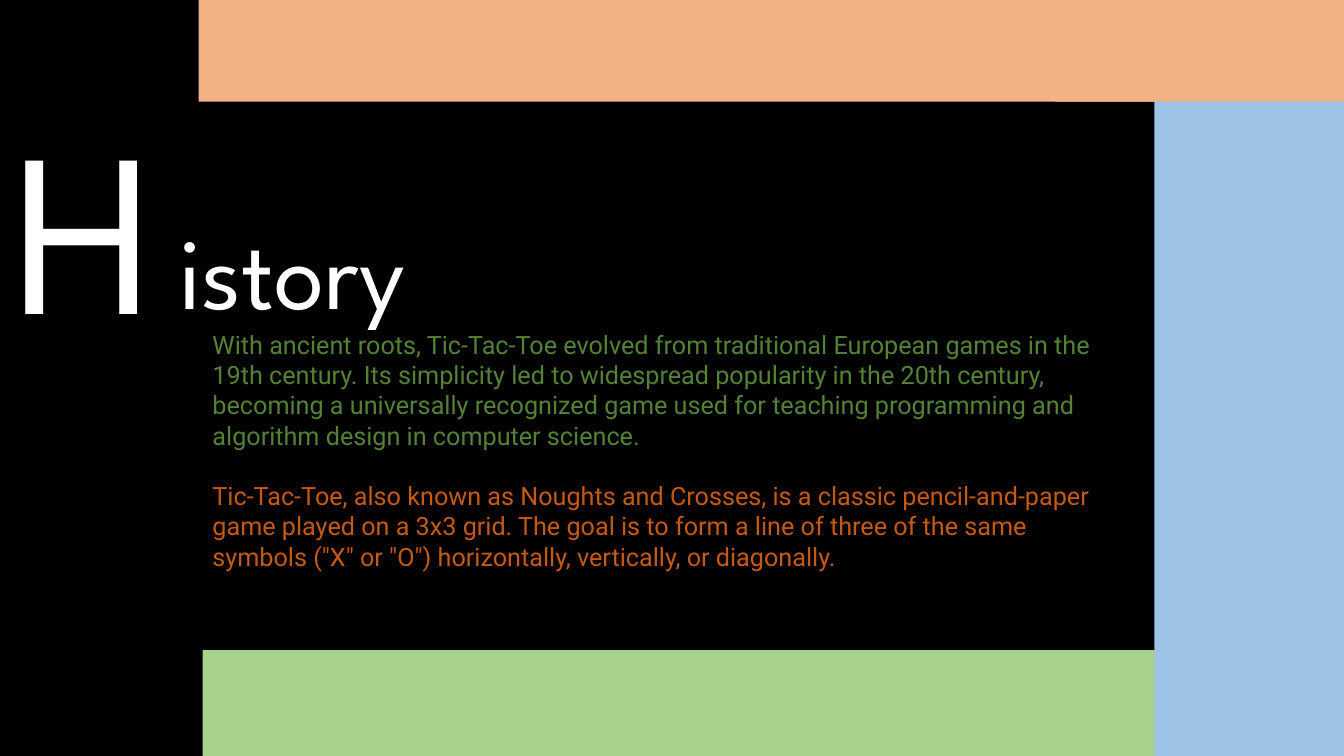
from dataclasses import dataclass

from pptx import Presentation
from pptx.dml.color import RGBColor
from pptx.enum import shapes, text
from pptx.util import Pt

SLIDE_W, SLIDE_H = 960, 540
BAND = 136.8
BAND_LEN = 2468.2
ORANGE, GREEN, BLUE = "F4B183", "A9D18E", "9DC3E6"


@dataclass
class Bar:
    left: float
    top: float
    width: float
    height: float
    color: str
    rotation: float = 0


@dataclass
class Para:
    text: str
    size: float
    font: str
    color: str
    before: float = 0


BARS = [
    Bar(1307.5, -1229.8, BAND, BAND_LEN, ORANGE, 90),
    Bar(1310.4, -701.3, BAND, BAND_LEN, GREEN, 90),
    Bar(824.6, -455, 136.1, 1451.5, BLUE),
    Bar(753.8, -64.1, 307.4, BAND, ORANGE),
]

INITIAL = Para("H", 166, "League Spartan", "FFFFFF")
TITLE = Para("istory", 72, "League Spartan", "FFFFFF")
BODY = [
    Para("With ancient roots, Tic-Tac-Toe evolved from traditional European games "
         "in the 19th century. Its simplicity led to widespread popularity in the "
         "20th century, becoming a universally recognized game used for teaching "
         "programming and algorithm design in computer science.",
         18, "Roboto", "548235"),
    Para("Tic-Tac-Toe, also known as Noughts and Crosses, is a classic "
         "pencil-and-paper game played on a 3x3 grid. The goal is to form a line of "
         "three of the same symbols (\"X\" or \"O\") horizontally, vertically, or "
         "diagonally.",
         18, "Roboto", "C55A11", before=21.6),
]


def set_fill(fill, color: str) -> None:
    fill.solid()
    fill.fore_color.rgb = RGBColor.from_string(color)


def add_bar(s, bar: Bar) -> None:
    sp = s.shapes.add_shape(
        shapes.MSO_SHAPE.RECTANGLE, Pt(bar.left), Pt(bar.top),
        Pt(bar.width), Pt(bar.height))
    sp.rotation = bar.rotation
    sp.shadow.inherit = False
    set_fill(sp.fill, bar.color)
    sp.line.fill.background()


def write(sp, paras: list[Para]) -> None:
    tf = sp.text_frame
    tf.word_wrap = True
    tf.auto_size = text.MSO_AUTO_SIZE.NONE
    tf.vertical_anchor = text.MSO_ANCHOR.TOP
    tf.text = "\n".join(para.text for para in paras)
    for p, para in zip(tf.paragraphs, paras):
        p.alignment = text.PP_ALIGN.LEFT
        p.space_before = Pt(para.before)
        r = p.runs[0]
        r.font.size = Pt(para.size)
        r.font.name = para.font
        set_fill(r.font.fill, para.color)


def add_text(s, left: float, top: float, width: float, height: float,
             paras: list[Para]) -> None:
    write(s.shapes.add_textbox(Pt(left), Pt(top), Pt(width), Pt(height)), paras)


def main() -> None:
    prs = Presentation()
    prs.slide_width, prs.slide_height = Pt(SLIDE_W), Pt(SLIDE_H)
    s = prs.slides.add_slide(prs.slide_layouts.get_by_name("Title Only"))
    set_fill(s.background.fill, "000000")

    for bar in BARS:
        add_bar(s, bar)

    title = s.shapes.title
    title.left, title.top = Pt(120.8), Pt(145.4)
    title.width, title.height = Pt(217.4), Pt(94.3)
    write(title, [TITLE])
    add_text(s, 2.2, 55.2, 38.9, 208, [INITIAL])
    add_text(s, 144.7, 231.6, 660.2, 181.4, BODY)

    prs.save("out.pptx")


if __name__ == "__main__":
    main()
